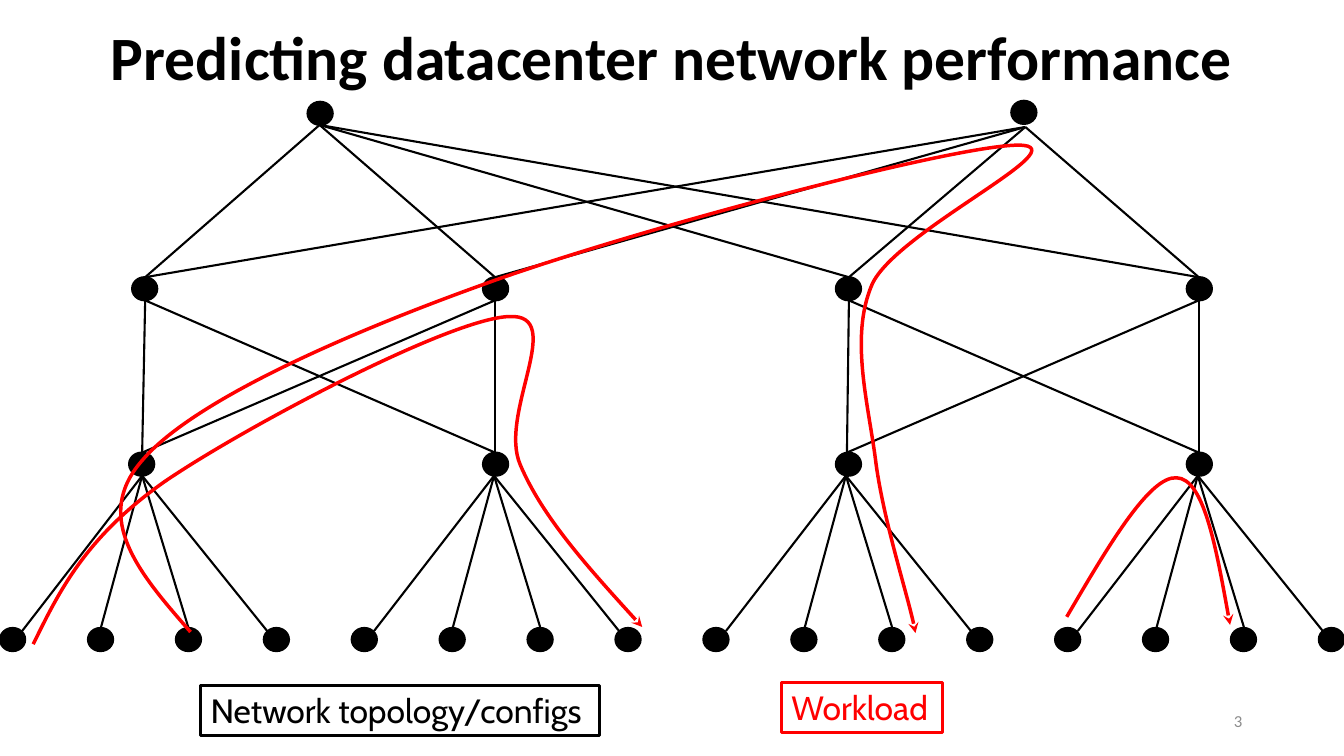
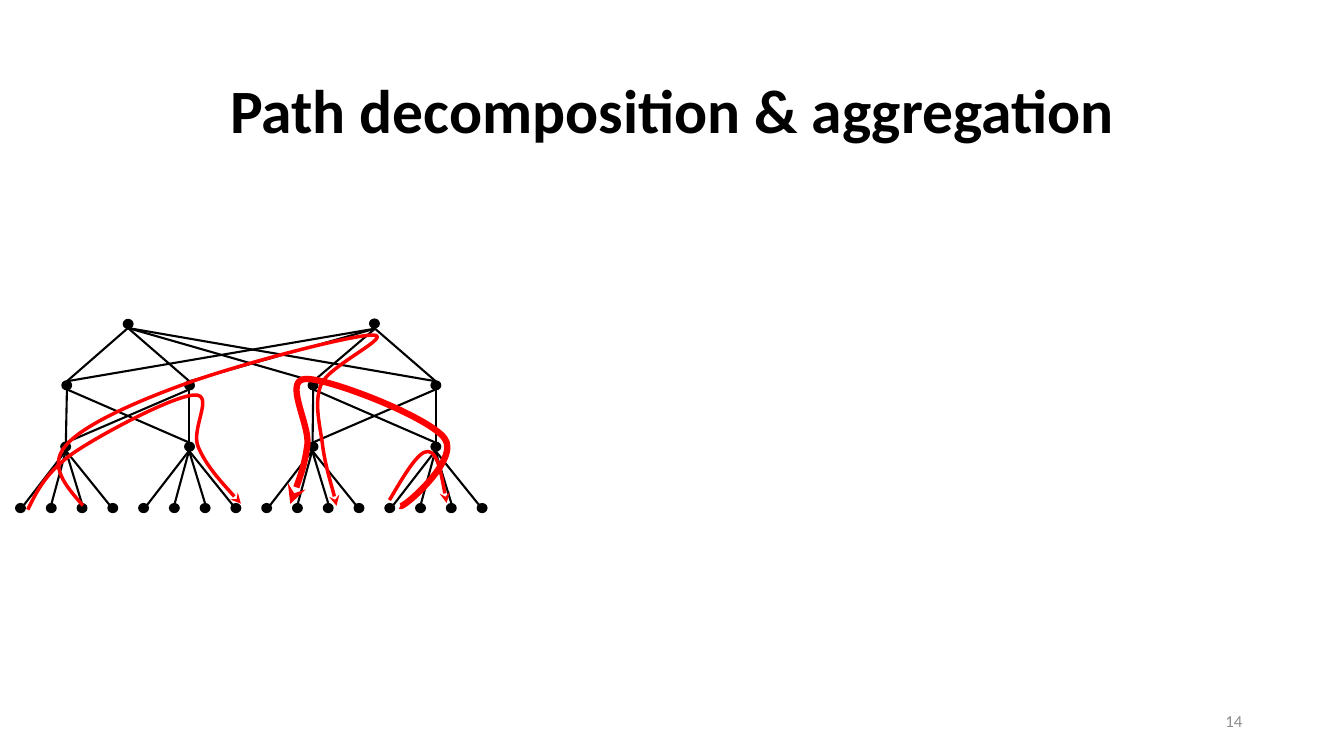
from lxml.etree import SubElement
from pptx import Presentation
from pptx.dml.color import RGBColor
from pptx.enum.shapes import MSO_CONNECTOR, MSO_SHAPE
from pptx.enum.text import MSO_ANCHOR, MSO_AUTO_SIZE, PP_ALIGN
from pptx.oxml.ns import qn
from pptx.util import Inches, Pt

BLACK = RGBColor(0x00, 0x00, 0x00)
WHITE = RGBColor(0xFF, 0xFF, 0xFF)
RED = RGBColor(0xFF, 0x00, 0x00)
GREY = RGBColor(0x8C, 0x8C, 0x8C)

# Full-size network: upper left corners of the nodes
NODE_W, NODE_H = 0.25, 0.23
CORES = [(3.05, 1.01), (10.03, 1)]
AGGS = [(x, 2.75) for x in (1.31, 4.79, 8.29, 11.77)]
TORS = [(x, 4.49) for x in (1.28, 4.79, 8.29, 11.77)]
HOSTS = [(0.872 * i, 6.23) for i in range(16)]

# Links as (from x, from y, to x, to y)
AGG_X = [1.44, 4.91, 8.42, 11.89]
TOR_X = [1.41, 4.91, 8.4, 11.89]
LINKS = [(x, y, agg, 2.75) for x, y in ((3.17, 1.24), (10.17, 1.26)) for agg in AGG_X]
LINKS += [(AGG_X[pod + a], 2.98, TOR_X[pod + t], 4.49)
          for pod in (0, 2) for a in (0, 1) for t in (0, 1)]
LINKS += [(1.41 + 3.49 * i, 4.72, 1.41 + 3.49 * i + dx, y)
          for i in range(4)
          for dx, y in ((-1.19, 6.26), (-0.41, 6.23), (0.46, 6.23), (1.24, 6.26))]

# Flows: a start, then two control points and an end for each curve
FLOWS = [
    [(0.33, 6.39), (0.59, 5.86), (0.85, 5.33), (1.63, 4.78),
     (2.42, 4.24), (4.46, 3.16), (5.05, 3.14),
     (5.63, 3.11), (4.94, 4.1), (5.16, 4.61),
     (5.38, 5.13), (5.87, 5.67), (6.37, 6.22)],
    [(1.89, 6.27), (1.4, 5.71), (0.91, 5.15), (1.4, 4.58),
     (1.88, 4), (3.35, 3.34), (4.8, 2.82),
     (6.25, 2.29), (9.46, 1.44), (10.1, 1.44),
     (10.74, 1.44), (8.89, 2.29), (8.65, 2.82),
     (8.42, 3.35), (8.62, 4.03), (8.69, 4.61),
     (8.77, 5.18), (9.03, 5.99), (9.08, 6.28)],
    [(10.58, 6.12), (10.99, 5.42), (11.4, 4.72), (11.67, 4.74),
     (11.94, 4.75), (12.07, 5.48), (12.2, 6.2)],
]
HEAVY_FLOW = [(3.97, 5.02), (3.97, 5.07), (4.57, 4.56), (4.41, 4.35),
              (4.26, 4.14), (3.26, 3.75), (3.03, 3.76),
              (2.81, 3.77), (3.07, 4.2), (3.05, 4.41),
              (3.02, 4.62), (2.95, 4.81), (2.88, 5)]


def add_flow(s, points, width):
    """Add a red Bézier curve that ends in an arrowhead."""
    points = [(Inches(x), Inches(y)) for x, y in points]
    curves = [points[i:i + 4] for i in range(0, len(points) - 1, 3)]
    # Points along the curve give the freeform its true bounds
    samples = []
    for curve in curves:
        for t in (n / 12 for n in range(1, 13)):
            weights = ((1 - t) ** 3, 3 * t * (1 - t) ** 2, 3 * t * t * (1 - t), t ** 3)
            samples.append([sum(w * p[axis] for w, p in zip(weights, curve)) for axis in (0, 1)])
    builder = s.shapes.build_freeform(*points[0])
    builder.add_line_segments(samples, close=False)
    sp = builder.convert_to_shape()
    outline = next(sp.element.iter(qn("a:path")))
    for segment in outline.findall(qn("a:lnTo")):
        outline.remove(segment)
    for curve in curves:
        bezier = SubElement(outline, qn("a:cubicBezTo"))
        for x, y in curve[1:]:
            SubElement(bezier, qn("a:pt"), x=str(x - sp.left), y=str(y - sp.top))
    sp.fill.background()
    sp.line.color.rgb = RED
    sp.line.width = Pt(width)
    sp.shadow.inherit = False
    SubElement(sp.element.spPr.find(qn("a:ln")), qn("a:tailEnd"), type="stealth")


def add_network(s, scale, left, top):
    """Add nodes, links and flows, scaled and then moved by left and top."""
    group = s.shapes.add_group_shape()
    for x, y in CORES + AGGS + TORS + HOSTS:
        sp = group.shapes.add_shape(
            MSO_SHAPE.OVAL, Inches(left + scale * x), Inches(top + scale * y),
            Inches(scale * NODE_W), Inches(scale * NODE_H))
        sp.fill.solid()
        sp.fill.fore_color.rgb = BLACK
        sp.line.color.rgb = BLACK
        sp.line.width = Pt(1.5)
        sp.shadow.inherit = False
    for x1, y1, x2, y2 in LINKS:
        link = group.shapes.add_connector(
            MSO_CONNECTOR.STRAIGHT,
            Inches(left + scale * x1), Inches(top + scale * y1),
            Inches(left + scale * x2), Inches(top + scale * y2))
        link.line.color.rgb = BLACK
        link.line.width = Pt(1.5)
        SubElement(link.element.spPr, qn("a:effectLst"))
    for flow in FLOWS:
        add_flow(s, [(left + scale * x, top + scale * y) for x, y in flow], 2.5)


prs = Presentation()
prs.slide_width, prs.slide_height = Inches(13.33), Inches(7.5)

# Title, title box, slide number, network scale and offset
SLIDES = [
    ("Predicting datacenter network performance", (0.68, -0.12, 11.97, 1.45), "3", (1, 0, 0)),
    ("Path decomposition & aggregation", (0.92, 0.4, 11.5, 1.45), "14", (0.35, 0.16, 2.82)),
]
for title, title_box, number, placement in SLIDES:
    s = prs.slides.add_slide(prs.slide_layouts[5])
    sp = s.shapes.title
    sp.left, sp.top, sp.width, sp.height = (Inches(v) for v in title_box)
    num = s.shapes.add_textbox(Inches(9.42), Inches(6.95), Inches(3), Inches(0.4))
    for box, text, align, style in (
        (sp, title, PP_ALIGN.CENTER, {"size": Pt(44), "bold": True, "name": "Calibri"}),
        (num, number, PP_ALIGN.RIGHT, {"size": Pt(12), "name": "Calibri"}),
    ):
        tf = box.text_frame
        tf.word_wrap = True
        tf.auto_size = MSO_AUTO_SIZE.NONE
        tf.vertical_anchor = MSO_ANCHOR.MIDDLE
        p = tf.paragraphs[0]
        p.alignment = align
        r = p.add_run()
        r.text = text
        r.font.color.rgb = BLACK if box is sp else GREY
        for name, value in style.items():
            setattr(r.font, name, value)
    sp.text_frame.paragraphs[0].line_spacing = 0.9
    add_network(s, *placement)

topology_slide, decomposition_slide = prs.slides

for text, color, x, y, w in (
    ("Network topology/configs", BLACK, 1.99, 6.8, 3.96),
    ("Workload", RED, 7.75, 6.77, 1.6),
):
    sp = topology_slide.shapes.add_shape(
        MSO_SHAPE.RECTANGLE, Inches(x), Inches(y), Inches(w), Inches(0.5))
    sp.fill.solid()
    sp.fill.fore_color.rgb = WHITE
    sp.line.color.rgb = color
    sp.line.width = Pt(2.25)
    sp.shadow.inherit = False
    tf = sp.text_frame
    tf.word_wrap = True
    tf.auto_size = MSO_AUTO_SIZE.SHAPE_TO_FIT_TEXT
    tf.vertical_anchor = MSO_ANCHOR.TOP
    p = tf.paragraphs[0]
    p.alignment = PP_ALIGN.LEFT
    r = p.add_run()
    r.text = text
    for name, value in {"name": "Cabin", "size": Pt(24)}.items():
        setattr(r.font, name, value)
    r.font.color.rgb = color

add_flow(decomposition_slide, HEAVY_FLOW, 4.5)

prs.save("out.pptx")
